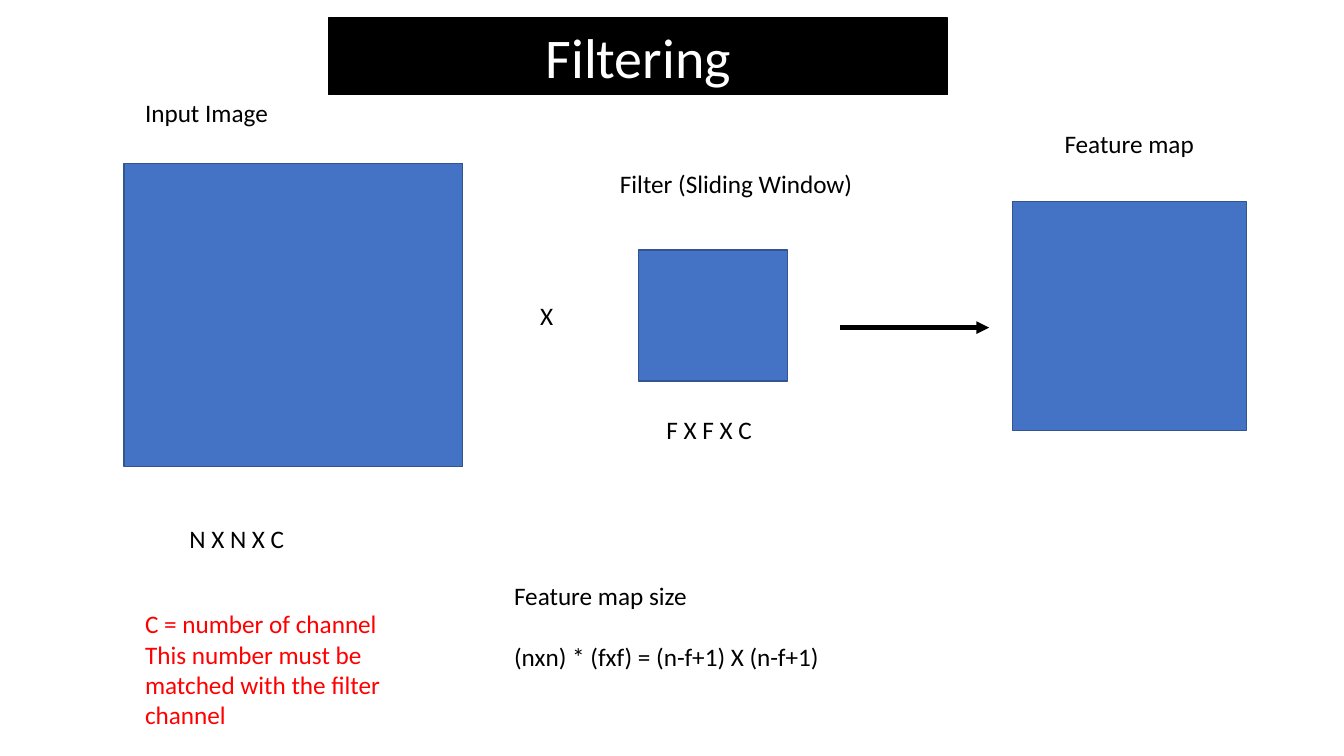
import pptx
import pptx.util
import pptx.dml.color
import pptx.enum.shapes
import pptx.enum.text
import pptx.oxml
import pptx.oxml.ns

SCALE = 9144  # EMU in one px, 100 px to the inch
COLORS = {"black": "000000", "white": "FFFFFF", "red": "FF0000",
          "blue": "4472C4", "edge": "325491"}
ALIGN = pptx.enum.text.PP_ALIGN
FIT = pptx.enum.text.MSO_AUTO_SIZE


def color(name):
    return pptx.dml.color.RGBColor.from_string(COLORS[name])


def px(*sizes):
    return [pptx.util.Emu(size * SCALE) for size in sizes]


class Board:
    font = "Calibri"

    def __init__(self, deck):
        self.slide = deck.slides.add_slide(deck.slide_layouts[5])
        self.shapes = self.slide.shapes

    def paint(self, shape, fill, edge):
        shape.fill.solid()
        shape.fill.fore_color.rgb = color(fill)
        shape.line.color.rgb = color(edge)
        shape.line.width = pptx.util.Pt(1)

    def letter(self, frame, lines, size=18, ink="black", align=ALIGN.LEFT, gap=0):
        look = {"name": self.font, "size": pptx.util.Pt(size), "bold": False}
        for i, line in enumerate(lines):
            para = frame.add_paragraph() if i else frame.paragraphs[0]
            para.alignment = align
            para.space_before = pptx.util.Pt(gap if i else 0)
            run = para.add_run()
            run.text = line
            for key, value in look.items():
                setattr(run.font, key, value)
            run.font.color.rgb = color(ink)

    def title(self, text, left, top, width, height):
        head = self.shapes.title
        place = dict(zip(("left", "top", "width", "height"),
                         px(left, top, width, height)))
        for key, value in place.items():
            setattr(head, key, value)
        self.paint(head, "black", "black")
        frame = head.text_frame
        form = {"auto_size": FIT.NONE, "word_wrap": True,
                "vertical_anchor": pptx.enum.text.MSO_ANCHOR.MIDDLE}
        for key, value in form.items():
            setattr(frame, key, value)
        self.letter(frame, [text], 40, "white", ALIGN.CENTER)

    def block(self, left, top, width, height):
        kind = pptx.enum.shapes.MSO_SHAPE.FLOWCHART_PROCESS
        shape = self.shapes.add_shape(kind, *px(left, top, width, height))
        shape.shadow.inherit = False
        self.paint(shape, "blue", "edge")

    def label(self, lines, left, top, width, height, **look):
        frame = self.shapes.add_textbox(*px(left, top, width, height)).text_frame
        form = {"word_wrap": True, "auto_size": FIT.SHAPE_TO_FIT_TEXT}
        for key, value in form.items():
            setattr(frame, key, value)
        self.letter(frame, lines, **look)

    def arrow(self, left, right, level):
        kind = pptx.enum.shapes.MSO_CONNECTOR.STRAIGHT
        link = self.shapes.add_connector(kind, *px(left, level, right, level))
        link.line.color.rgb = color("black")
        link.line.width = pptx.util.Pt(3)
        space = pptx.oxml.ns.nsdecls("a")
        props = link.element.spPr
        tip = pptx.oxml.parse_xml(f'<a:tailEnd {space} type="triangle"/>')
        props.find(pptx.oxml.ns.qn("a:ln")).append(tip)
        props.append(pptx.oxml.parse_xml(f"<a:effectLst {space}/>"))


def main():
    deck = pptx.Presentation()
    deck.slide_width, deck.slide_height = px(1333, 750)
    board = Board(deck)

    # Title bar
    board.title("Filtering", 326, 18, 614, 76)

    # Input image, filter and feature map
    for place in ((123, 162, 336, 301), (633, 248, 148, 130), (1004, 200, 232, 227)):
        board.block(*place)
    board.arrow(833, 981, 325)

    # Captions
    board.label(["Feature map"], 1017, 122, 206, 40, align=ALIGN.CENTER)
    for text, left, top, width in (
            ("Input Image", 134, 92, 183),
            ("Filter (Sliding Window)", 605, 162, 255),
            ("X", 526, 293, 47),
            ("N X N X C", 178, 514, 176),
            ("F X F X C", 651, 406, 131)):
        board.label([text], left, top, width, 40)

    # Size formula and channel note
    board.label(["Feature map size", "(nxn) * (fxf) = (n-f+1) X (n-f+1)"],
                500, 571, 415, 101, gap=22)
    board.label(["C = number of channel",
                 "This number must be matched with the filter channel"],
                134, 599, 282, 131, ink="red")

    deck.save("out.pptx")


if __name__ == "__main__":
    main()
